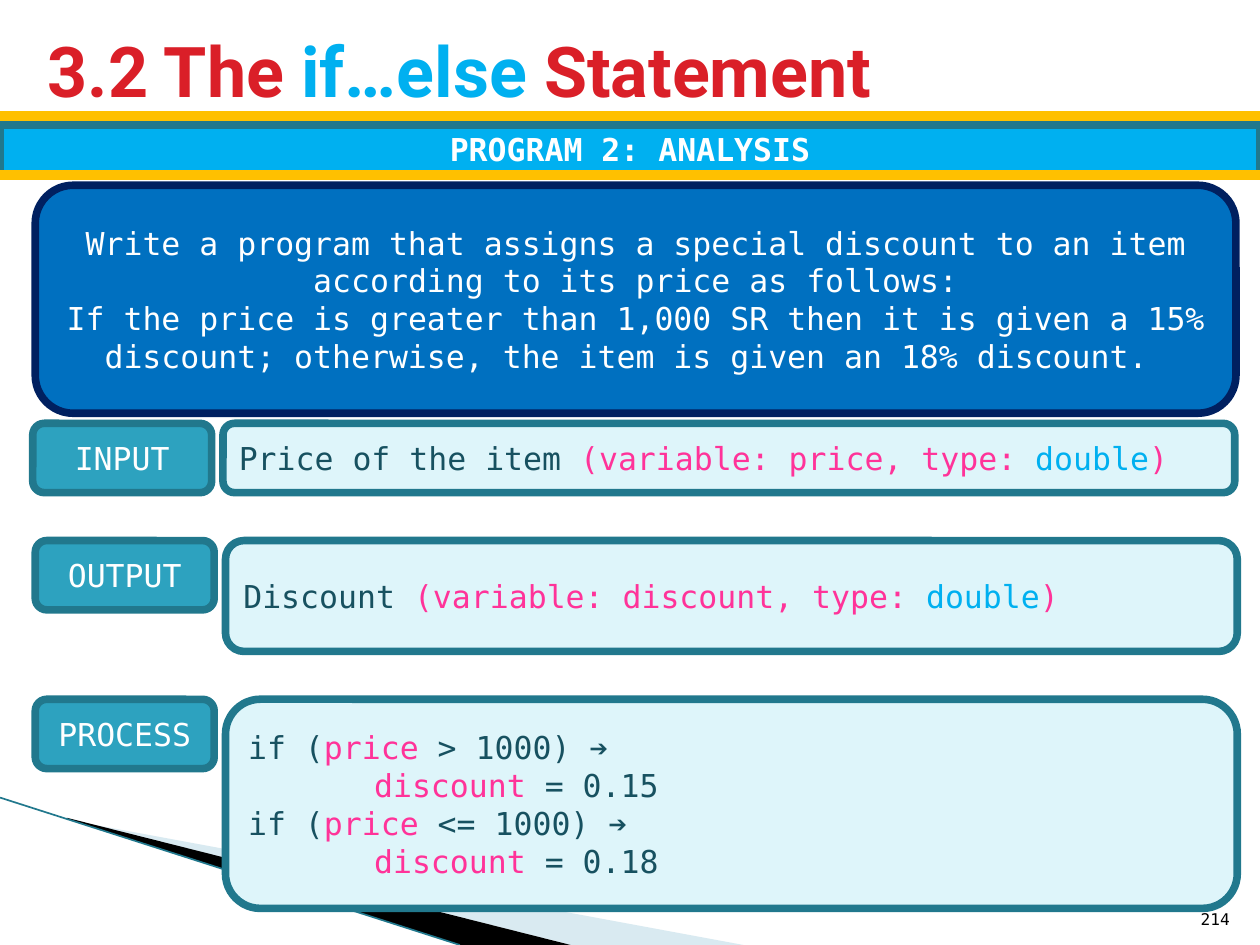
"""Build the analysis slide for the if…else discount program."""
from dataclasses import dataclass

from lxml import etree
from pptx import Presentation
from pptx.dml.color import RGBColor
from pptx.enum.shapes import MSO_CONNECTOR, MSO_SHAPE
from pptx.enum.text import MSO_ANCHOR, MSO_AUTO_SIZE, PP_ALIGN
from pptx.oxml.ns import qn
from pptx.util import Inches, Pt

STRAIGHT = MSO_CONNECTOR.STRAIGHT
RECTANGLE, ROUNDED = MSO_SHAPE.RECTANGLE, MSO_SHAPE.ROUNDED_RECTANGLE
LEFT, CENTER, RIGHT = PP_ALIGN.LEFT, PP_ALIGN.CENTER, PP_ALIGN.RIGHT
MIDDLE, BOTTOM = MSO_ANCHOR.MIDDLE, MSO_ANCHOR.BOTTOM
NO_AUTOFIT = MSO_AUTO_SIZE.NONE
COLUMNS, ROWS = 100, 75
CELL = Inches(0.1)
CODE_TAB = CELL * 10
TITLE_ONLY_LAYOUT = 5


@dataclass(frozen=True)
class Theme:
    title_font: str = "Roboto"
    body_font: str = "DejaVu Sans Mono"
    title_size: float = 40
    body_size: float = 18
    number_size: float = 9.2
    outline: float = 4.33
    rule: float = 6
    hairline: float = 0.95
    white: str = "FFFFFF"
    black: str = "000000"
    red: str = "DA1F28"
    sky: str = "00B0F0"
    gold: str = "FFC000"
    blue: str = "0070C0"
    navy: str = "002060"
    teal: str = "2DA2BF"
    dark_teal: str = "21788D"
    pale: str = "DEF5FA"
    ink: str = "175160"
    pink: str = "FF3399"
    swoosh: str = "A0CBDC"


THEME = Theme()


@dataclass(frozen=True)
class Box:
    column: float
    row: float
    width: float
    height: float

    def emu(self) -> list[int]:
        return [round(CELL * v) for v in (self.column, self.row, self.width, self.height)]


@dataclass(frozen=True)
class Span:
    text: str
    color: str


Lines = list[list[Span]]


@dataclass(frozen=True)
class Step:
    name: str
    column: float
    row: float
    height: float
    lines: Lines


def variable_line(label: str, variable: str) -> Lines:
    return [[Span(f"{label} ", THEME.ink),
             Span(f"(variable: {variable}, type: ", THEME.pink),
             Span("double", THEME.sky), Span(")", THEME.pink)]]


def branch(condition: str, rate: str) -> Lines:
    return [[Span("if (", THEME.ink), Span("price", THEME.pink),
             Span(f" {condition}) ➔", THEME.ink)],
            [Span("\tdiscount ", THEME.pink), Span(f"= {rate}", THEME.ink)]]


STEPS = [
    Step("INPUT", 2.6, 33.6, 5.5, variable_line("Price of the item", "price")),
    Step("OUTPUT", 2.8, 42.9, 8.8, variable_line("Discount", "discount")),
    Step("PROCESS", 2.8, 55.5, 16.6, branch("> 1000", "0.15") + branch("<= 1000", "0.18")),
]
LABEL_WIDTH, LABEL_HEIGHT = 14.2, 5.5
DETAIL_OFFSET, DETAIL_WIDTH = 15.1, 80.3
TASK = [
    "Write a program that assigns a special discount to an item "
    "according to its price as follows:",
    "If the price is greater than 1,000 SR then it is given a 15% discount; "
    "otherwise, the item is given an 18% discount. ",
]


def rgb(color: str) -> RGBColor:
    return RGBColor.from_string(color)


def add_tab_stop(paragraph) -> None:
    tabs = etree.SubElement(paragraph._p.get_or_add_pPr(), qn("a:tabLst"))
    etree.SubElement(tabs, qn("a:tab"), pos=str(CODE_TAB), algn="l")


def write(shape, lines: Lines, align=LEFT, anchor=MIDDLE, font: str = THEME.body_font,
          size: float = THEME.body_size, bold: bool = False) -> None:
    frame = shape.text_frame
    frame.word_wrap = True
    frame.auto_size = NO_AUTOFIT
    frame.vertical_anchor = anchor
    for index, spans in enumerate(lines):
        paragraph = frame.add_paragraph() if index else frame.paragraphs[0]
        paragraph.alignment = align
        if spans[0].text.startswith("\t"):
            add_tab_stop(paragraph)
        for span in spans:
            run = paragraph.add_run()
            run.text = span.text
            run.font.name, run.font.size, run.font.bold = font, Pt(size), bold
            run.font.color.rgb = rgb(span.color)


def add_panel(slide, kind, box: Box, fill: str, outline: str, lines: Lines,
              align=CENTER, bold: bool = False) -> None:
    shape = slide.shapes.add_shape(kind, *box.emu())
    shape.shadow.inherit = False
    shape.fill.solid()
    shape.fill.fore_color.rgb = rgb(fill)
    shape.line.color.rgb = rgb(outline)
    shape.line.width = Pt(THEME.outline)
    write(shape, lines, align, bold=bold)


def add_line(slide, start: tuple[float, float], end: tuple[float, float],
             color: str, width: float) -> None:
    points = [round(CELL * value) for value in (*start, *end)]
    line = slide.shapes.add_connector(STRAIGHT, *points)
    line.line.color.rgb = rgb(color)
    line.line.width = Pt(width)
    etree.SubElement(line._element.spPr, qn("a:effectLst"))


def add_wedge(slide, points: list[tuple[int, int]], color: str, opacity: int = 100) -> None:
    """Draw a filled outline from points in tenths of a grid cell."""
    builder = slide.shapes.build_freeform(*points[0], scale=CELL / 10)
    builder.add_line_segments(points[1:], close=True)
    shape = builder.convert_to_shape()
    shape.shadow.inherit = False
    shape.line.fill.background()
    shape.fill.solid()
    shape.fill.fore_color.rgb = rgb(color)
    if opacity < 100:
        color_element = shape._element.spPr.find(f".//{qn('a:srgbClr')}")
        etree.SubElement(color_element, qn("a:alpha"), val=str(opacity * 1000))


def add_title(slide) -> None:
    title = slide.shapes.title
    title.left, title.top, title.width, title.height = Box(2.8, 1.3, 89.2, 8.5).emu()
    spans = [Span("3.2 The ", THEME.red), Span("if…else ", THEME.sky),
             Span("Statement", THEME.red)]
    write(title, [spans], font=THEME.title_font, size=THEME.title_size, bold=True)


def add_step(slide, step: Step) -> None:
    label = Box(step.column, step.row, LABEL_WIDTH, LABEL_HEIGHT)
    detail = Box(step.column + DETAIL_OFFSET, step.row, DETAIL_WIDTH, step.height)
    add_panel(slide, ROUNDED, label, THEME.teal, THEME.dark_teal,
              [[Span(step.name, THEME.white)]])
    add_panel(slide, ROUNDED, detail, THEME.pale, THEME.dark_teal, step.lines, LEFT)


def main() -> None:
    presentation = Presentation()
    presentation.slide_width, presentation.slide_height = CELL * COLUMNS, CELL * ROWS
    slide = presentation.slides.add_slide(presentation.slide_layouts[TITLE_ONLY_LAYOUT])

    add_wedge(slide, [(55, 651), (590, 750), (453, 750), (55, 650)], THEME.swoosh, 40)
    add_wedge(slide, [(53, 649), (453, 750), (365, 750), (54, 650)], THEME.black)
    add_line(slide, (0, 63.3), (36.5, ROWS), THEME.dark_teal, THEME.hairline)

    add_title(slide)
    add_line(slide, (0, 9.2), (COLUMNS, 9.2), THEME.gold, THEME.rule)
    add_panel(slide, RECTANGLE, Box(0, 9.9, COLUMNS, 3.9), THEME.sky, THEME.dark_teal,
              [[Span("PROGRAM 2: ANALYSIS", THEME.white)]], bold=True)
    add_line(slide, (0, 13.9), (COLUMNS, 13.9), THEME.gold, THEME.rule)
    add_panel(slide, ROUNDED, Box(2.8, 14.7, 95.3, 18.1), THEME.blue, THEME.navy,
              [[Span(text, THEME.white)] for text in TASK])
    for step in STEPS:
        add_step(slide, step)
    number = slide.shapes.add_textbox(*Box(92.6, 70.2, 6, 4).emu())
    write(number, [[Span("214", THEME.black)]], RIGHT, BOTTOM, size=THEME.number_size)
    presentation.save("out.pptx")


if __name__ == "__main__":
    main()
